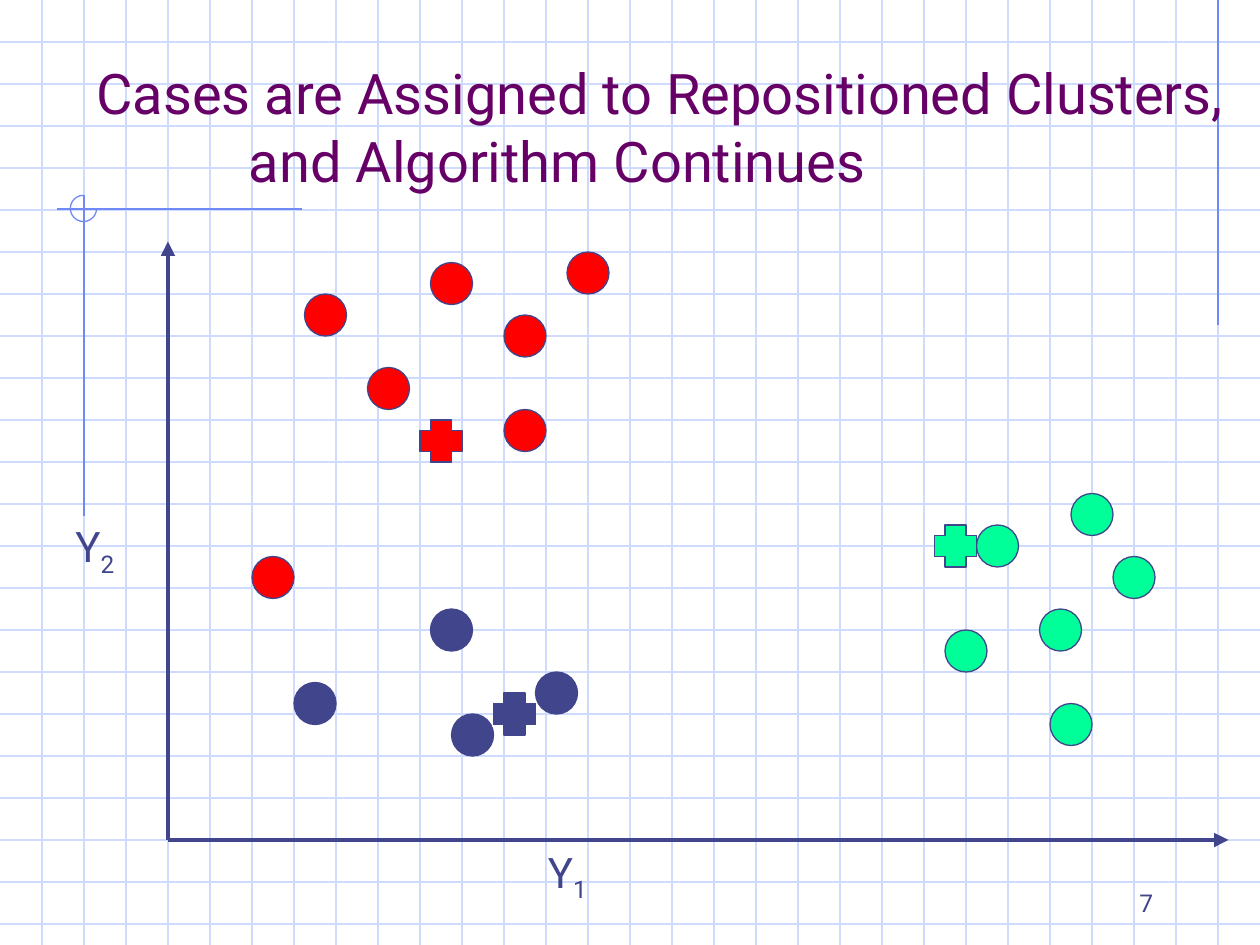
from lxml import etree
from pptx import Presentation
from pptx import util as u
from pptx.dml.color import RGBColor
from pptx.enum import shapes, text
from pptx.oxml.ns import qn

# Content: all positions are in twelfths of an inch, the module of the layout
UNIT = 2.54 / 12
WIDTH, HEIGHT = 120, 90
GRID = 4
MARK = 4
FONT = "Roboto"
INK, RED, GREEN = "40458C", "FF0000", "00FF99"
PALE, ACCENT, PURPLE = "CFDBFD", "6F89F7", "660066"

TITLE = "Cases are Assigned to Repositioned Clusters, and Algorithm Continues"
CLUSTERS = [  # colour, centroid, cases
    (INK, (47, 66), [(28, 65), (43, 68), (41, 58), (51, 64)]),
    (RED, (40, 40), [(24, 53), (35, 35), (29, 28), (48, 30), (48, 39),
                     (41, 25), (54, 24)]),
    (GREEN, (89, 50), [(100, 67), (99, 58), (90, 60), (93, 50),
                       (106, 53), (102, 47)]),
]
AXES = [((16, 80), (117, 80)), ((16, 80), (16, 23))]
AXIS_LABELS = [("Y", "1", (51, 80, 22, 6.7)), ("Y", "2", (6, 49, 12, 6.7))]
DECOR_LINES = [((116, 0), (116, 31)), ((28.8, 19.9), (5.4, 19.9)),
               ((8, 18.6), (8, 49.1))]
DECOR_ARC = (6.7, 18.6, 2.5, 2.5)


def units(*values):
    return [u.Cm(v * UNIT) for v in values]


def rgb(color):
    return RGBColor.from_string(color)


def add_line(start, end, color, width=0.75, arrow=False):
    c = s.shapes.add_connector(shapes.MSO_CONNECTOR.STRAIGHT,
                               *units(*start, *end))
    c.line.color.rgb = rgb(color)
    c.line.width = u.Pt(width)
    if arrow:
        etree.SubElement(c.line._get_or_add_ln(), qn("a:tailEnd"), type="triangle")
    etree.SubElement(c._element.spPr, qn("a:effectLst"))


def add_shape(kind, box, line, fill=None):
    sp = s.shapes.add_shape(kind, *units(*box))
    sp.shadow.inherit = False
    if fill:
        sp.fill.solid()
        sp.fill.fore_color.rgb = rgb(fill)
    else:
        sp.fill.background()
    sp.line.color.rgb = rgb(line)
    sp.line.width = u.Pt(0.75)
    return sp


def add_text(content, box, size, color, anchor=text.MSO_ANCHOR.TOP):
    tf = s.shapes.add_textbox(*units(*box)).text_frame
    tf.word_wrap = True
    tf.vertical_anchor = anchor
    p = tf.paragraphs[0]
    p.text = content
    p.font.name = FONT
    p.font.size = u.Pt(size)
    p.font.color.rgb = rgb(color)
    return p


prs = Presentation()
prs.slide_width, prs.slide_height = units(WIDTH, HEIGHT)
s = prs.slides.add_slide(prs.slide_layouts[6])

# Graph paper background
for y in range(GRID, HEIGHT, GRID):
    add_line((0, y), (WIDTH, y), PALE)
for x in range(GRID, WIDTH, GRID):
    add_line((x, 0), (x, HEIGHT), PALE)

# Corner decoration
for start, end in DECOR_LINES:
    add_line(start, end, ACCENT)
arc = add_shape(shapes.MSO_SHAPE.ARC, DECOR_ARC, ACCENT)
arc.adjustments[0] = 0
arc.adjustments[1] = 162  # 270 degrees: from right, clockwise to top

# Title, with a hanging first line
p = add_text(TITLE, (8, 4, 111, 15), 32, PURPLE, text.MSO_ANCHOR.BOTTOM)
hang = u.Cm(3.07)
pPr = p._p.get_or_add_pPr()
pPr.set("marL", str(hang))
pPr.set("indent", str(-hang))

# Axes and their labels
for start, end in AXES:
    add_line(start, end, INK, 2.75, arrow=True)
for name, index, box in AXIS_LABELS:
    p = add_text(name, box, 24, INK)
    r = p.add_run()
    r.text = index
    r.font._element.set("baseline", "-25000")

# Cases and cluster centroids
for color, centroid, cases in CLUSTERS:
    for case in cases:
        add_shape(shapes.MSO_SHAPE.FLOWCHART_CONNECTOR,
                  (*case, MARK, MARK), INK, color)
    plus = add_shape(shapes.MSO_SHAPE.CROSS, (*centroid, MARK, MARK), INK, color)
    plus.adjustments[0] = 0.25

# Slide number
p = add_text("7", (86, 82, 25, 6), 14, INK, text.MSO_ANCHOR.BOTTOM)
p.alignment = text.PP_ALIGN.RIGHT

prs.save("out.pptx")
